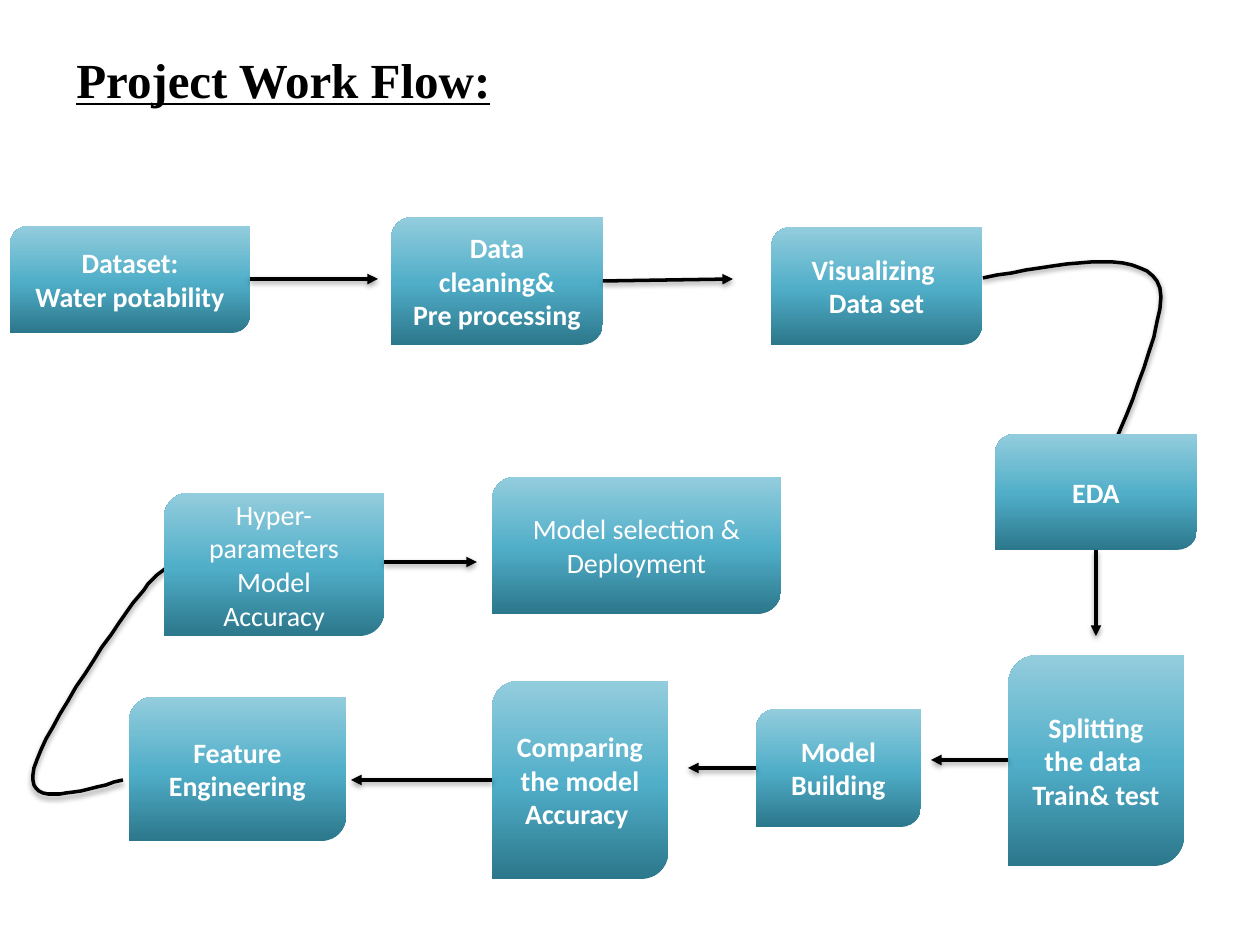
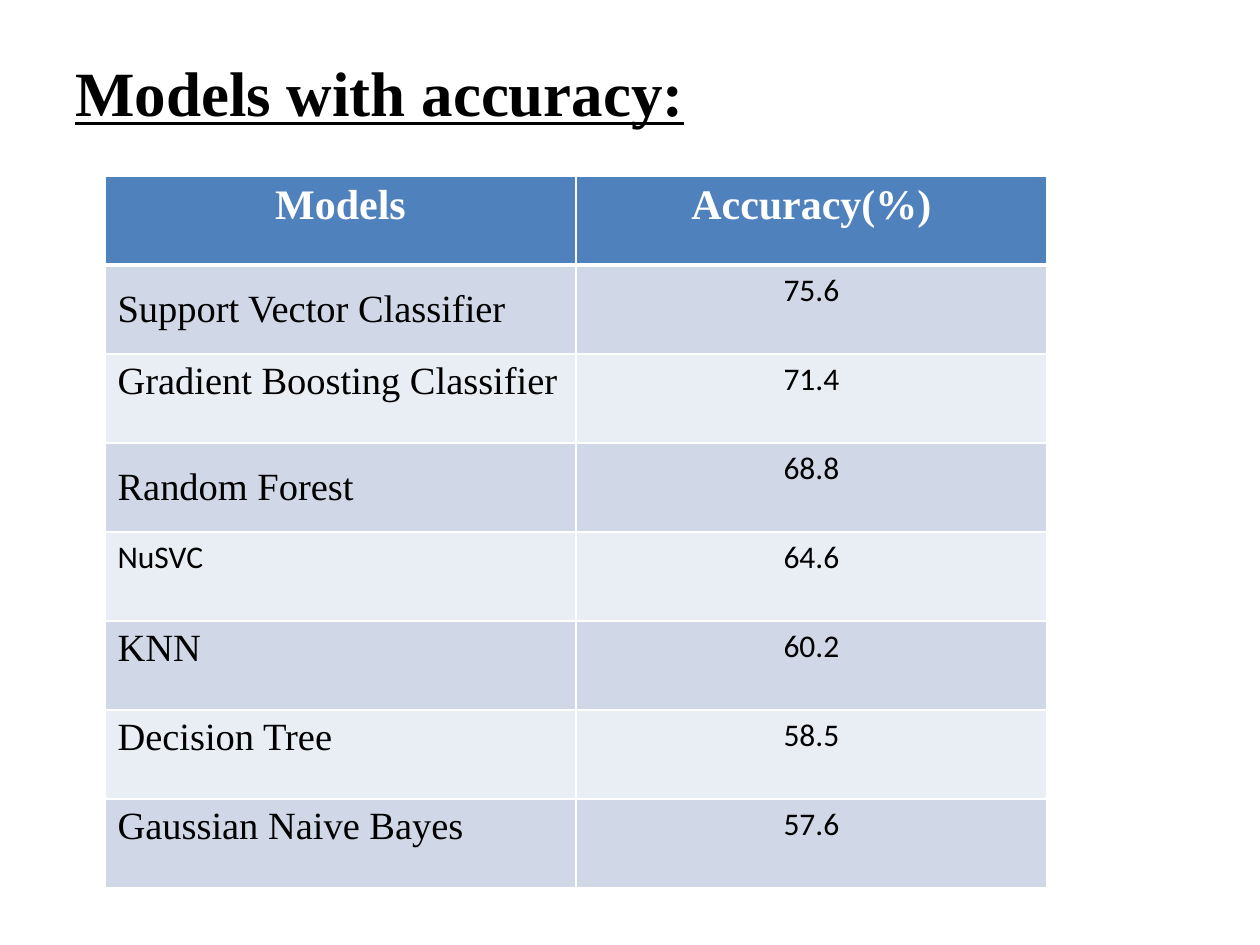
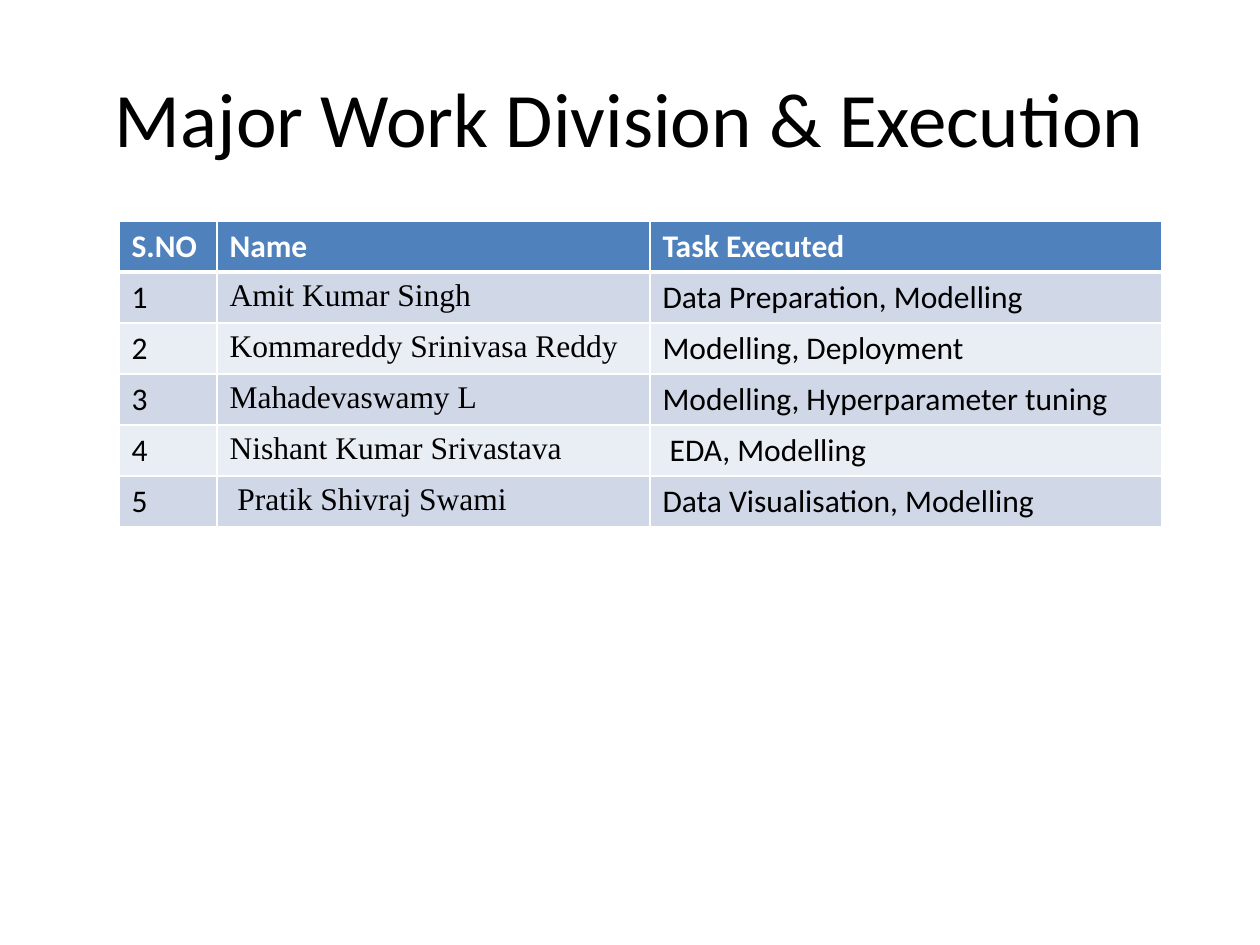
"""Build three project slides: work flow, model accuracy and work division."""
import copy
import dataclasses

import pptx
import pptx.dml.color
import pptx.enum.dml
import pptx.enum.shapes
import pptx.enum.text
import pptx.oxml
import pptx.oxml.ns
import pptx.util

COLOURS = {
    "ink": "000000",
    "paper": "FFFFFF",
    "header": "4F81BD",
    "band_dark": "D0D8E8",
    "band_light": "E9EDF4",
    "box_bottom": "2C778B",
    "box_middle": "50AEC8",
    "box_top": "93CDDD",
}
SERIF, SANS = "Times New Roman", "Calibri"
ALIGN = pptx.enum.text.PP_ALIGN
ANCHOR = pptx.enum.text.MSO_ANCHOR
SHAPE = pptx.enum.shapes.MSO_SHAPE
NAMESPACE = 'xmlns:a="http://schemas.openxmlformats.org/drawingml/2006/main"'
SCALE = 914400 / 126


def emu(pixels):
    return pptx.util.Emu(round(pixels * SCALE))


def rgb(name):
    return pptx.dml.color.RGBColor.from_string(COLOURS[name])


def bezier(start, control_a, control_b, end, share):
    rest = 1 - share
    weights = (rest ** 3, 3 * rest ** 2 * share, 3 * rest * share ** 2, share ** 3)
    points = (start, control_a, control_b, end)
    return tuple(sum(w * p[axis] for w, p in zip(weights, points)) for axis in (0, 1))


@dataclasses.dataclass
class Type:
    font: str
    size: int
    align: ALIGN = ALIGN.LEFT
    bold: bool = False
    underline: bool = False
    colour: str = "ink"
    anchor: ANCHOR = ANCHOR.TOP


class Slides:
    def __init__(self):
        self.deck = pptx.Presentation()
        self.deck.slide_width, self.deck.slide_height = emu(1260), emu(945)
        self.page = None

    def new_page(self):
        self.page = self.deck.slides.add_slide(self.deck.slide_layouts[6])

    def add_text(self, frame, text, style):
        for index, line in enumerate(text.split("\n")):
            para = frame.paragraphs[0] if index == 0 else frame.add_paragraph()
            para.alignment = style.align
            span = para.add_run()
            span.text = line
            span.font.name = style.font
            span.font.size = pptx.util.Pt(style.size)
            span.font.bold = style.bold
            span.font.underline = style.underline
            span.font.color.rgb = rgb(style.colour)

    def title(self, text, left, top, height, style):
        box = self.page.shapes.add_textbox(emu(left), emu(top), emu(1134), emu(height))
        box.text_frame.word_wrap = True
        box.text_frame.vertical_anchor = ANCHOR.MIDDLE
        self.add_text(box.text_frame, text, style)

    def step(self, text, left, top, width, height, bold=True, corner=0.17):
        box = self.page.shapes.add_shape(
            SHAPE.ROUND_2_DIAG_RECTANGLE, emu(left), emu(top), emu(width), emu(height))
        box.adjustments[0] = corner
        box.shadow.inherit = False
        box.line.fill.background()
        box.fill.gradient()
        box.fill.gradient_angle = 90
        stop_list = box._element.spPr.find(".//" + pptx.oxml.ns.qn("a:gsLst"))
        stop_list.append(copy.deepcopy(stop_list[0]))
        shades = ((0, "box_bottom"), (0.48, "box_middle"), (1, "box_top"))
        for stop, (position, colour) in zip(box.fill.gradient_stops, shades):
            stop.position = position
            stop.color.rgb = rgb(colour)
        box.text_frame.word_wrap = True
        box.text_frame.vertical_anchor = ANCHOR.MIDDLE
        self.add_text(box.text_frame, text, Type(SANS, 16, ALIGN.CENTER, bold, colour="paper"))

    def stroke(self, shape):
        shape.line.color.rgb = rgb("ink")
        shape.line.width = pptx.util.Pt(2)
        shape._element.spPr.append(pptx.oxml.parse_xml(
            f'<a:effectLst {NAMESPACE}><a:outerShdw blurRad="40000" dist="20000" '
            f'dir="5400000" rotWithShape="0"><a:srgbClr val="{COLOURS["ink"]}">'
            '<a:alpha val="38000"/></a:srgbClr></a:outerShdw></a:effectLst>'))

    def arrow(self, *ends):
        line = self.page.shapes.add_connector(
            pptx.enum.shapes.MSO_CONNECTOR.STRAIGHT, *map(emu, ends))
        self.stroke(line)
        line.line._get_or_add_ln().append(
            pptx.oxml.parse_xml(f'<a:tailEnd {NAMESPACE} type="triangle"/>'))

    def curve(self, *points, steps=16):
        route = [bezier(*points[first:first + 4], step / steps)
                 for first in range(0, len(points) - 1, 3)
                 for step in range(1, steps + 1)]
        builder = self.page.shapes.build_freeform(*points[0], scale=SCALE)
        builder.add_line_segments(route, close=False)
        shape = builder.convert_to_shape()
        shape.fill.background()
        self.stroke(shape)

    def cell(self, cell, text, style, fill, top, bottom):
        for side, width in (("L", 1), ("R", 1), ("T", top), ("B", bottom)):
            cell._tc.get_or_add_tcPr().append(pptx.oxml.parse_xml(
                f'<a:ln{side} {NAMESPACE} w="{pptx.util.Pt(width)}"><a:solidFill>'
                f'<a:srgbClr val="{COLOURS["paper"]}"/></a:solidFill></a:ln{side}>'))
        cell.fill.solid()
        cell.fill.fore_color.rgb = rgb(fill)
        cell.vertical_anchor = style.anchor
        self.add_text(cell.text_frame, text, style)

    def table(self, left, top, widths, row_height, rows, header, styles, special=None):
        special = special or {}
        table = self.page.shapes.add_table(
            len(rows), len(widths), emu(left), emu(top),
            emu(sum(widths)), emu(row_height * len(rows))).table
        table.horz_banding = False
        for column, width in zip(table.columns, widths):
            column.width = emu(width)
        for r, row in enumerate(rows):
            table.rows[r].height = emu(row_height)
            fill = "header" if r == 0 else ("band_light", "band_dark")[r % 2]
            for c, text in enumerate(row):
                style = header if r == 0 else special.get((r, c), styles[c])
                self.cell(table.cell(r, c), text, style, fill,
                          3 if r == 1 else 1, 3 if r == 0 else 1)


def work_flow(slides):
    slides.new_page()
    slides.title("Project Work Flow:", 64, 0, 158, Type(SERIF, 28, bold=True, underline=True))
    slides.curve((983, 278), (1060, 264), (1137, 249), (1157, 281),
                 (1177, 311), (1105, 464), (1105, 464))
    slides.curve((123, 780), (77, 793), (30, 806), (33, 775), (35, 745),
                 (111, 631), (139, 596), (165, 559), (181, 561), (197, 562))
    slides.step("Dataset:\nWater potability", 10, 226, 240, 107)
    slides.step("Data cleaning&\nPre processing", 391, 217, 212, 128)
    slides.step("Visualizing \nData set", 771, 227, 211, 118)
    slides.step("EDA", 995, 434, 202, 116)
    slides.step("Splitting the data \nTrain& test", 1008, 655, 176, 211)
    slides.step("Model Building", 756, 709, 165, 118)
    slides.step("Comparing the model Accuracy ", 492, 681, 176, 198, corner=0.15)
    slides.step("Feature Engineering", 129, 697, 217, 144)
    slides.step("Hyper-parameters\nModel Accuracy", 164, 493, 220, 143, bold=False)
    slides.step("Model selection &\nDeployment", 492, 477, 289, 137, bold=False)
    for ends in ((250, 279, 378, 279), (603, 281, 733, 279), (1096, 550, 1096, 636),
                 (1008, 760, 931, 760), (756, 768, 688, 768), (492, 780, 351, 780),
                 (384, 562, 477, 562)):
        slides.arrow(*ends)


def model_accuracy(slides):
    slides.new_page()
    slides.title("Models with accuracy:", 63, 38, 107,
                 Type(SERIF, 36, bold=True, underline=True))
    rows = (
        ("Models", "Accuracy(%)"),
        ("Support Vector Classifier", "75.6"),
        ("Gradient Boosting Classifier", "71.4"),
        ("Random Forest", "68.8"),
        ("NuSVC", "64.6"),
        ("KNN", "60.2"),
        ("Decision Tree", "58.5"),
        ("Gaussian Naive Bayes", "57.6"),
    )
    model = Type(SERIF, 22, ALIGN.JUSTIFY)
    centred = dataclasses.replace(model, anchor=ANCHOR.MIDDLE)
    slides.table(105, 176, (471, 471), 89, rows,
                 Type(SERIF, 24, ALIGN.CENTER, True, colour="paper"),
                 (model, Type(SANS, 18, ALIGN.CENTER)),
                 {(1, 0): centred, (3, 0): centred, (4, 0): Type(SANS, 18)})


def work_division(slides):
    slides.new_page()
    slides.title("Major Work Division & Execution", 63, 38, 158, Type(SANS, 44, ALIGN.CENTER))
    rows = (
        ("S.NO", "Name", "Task Executed"),
        ("1", "Amit Kumar Singh", "Data Preparation, Modelling"),
        ("2", "Kommareddy Srinivasa Reddy", "Modelling, Deployment"),
        ("3", "Mahadevaswamy L", "Modelling, Hyperparameter tuning"),
        ("4", "Nishant Kumar Srivastava", " EDA, Modelling"),
        ("5", " Pratik Shivraj Swami", "Data Visualisation, Modelling"),
    )
    plain = Type(SANS, 18)
    slides.table(119, 221, (98, 433, 512), 51, rows,
                 Type(SANS, 18, bold=True, colour="paper"),
                 (plain, Type(SERIF, 18), plain))


slides = Slides()
work_flow(slides)
model_accuracy(slides)
work_division(slides)
slides.deck.save("out.pptx")
